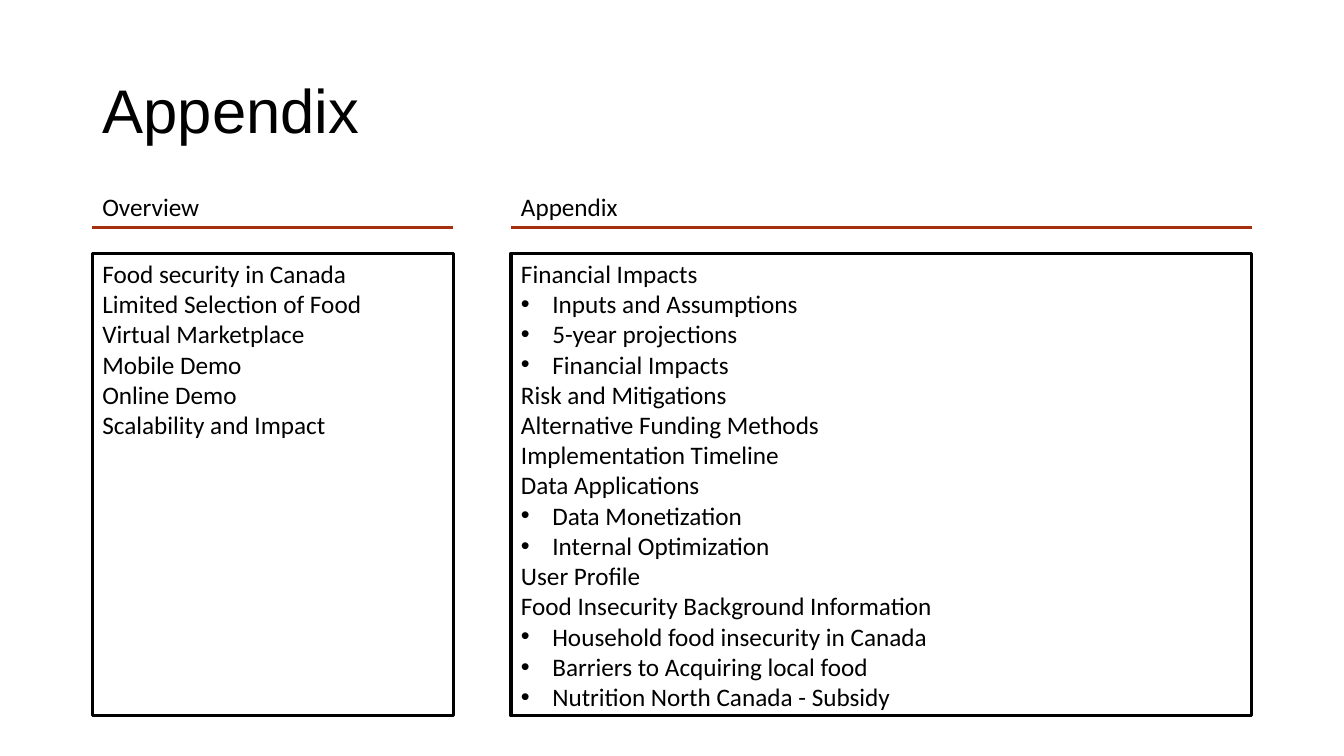
from lxml import etree
from pptx import Presentation
from pptx.dml.color import RGBColor
from pptx.enum import shapes, text
from pptx.oxml import ns
from pptx.util import Cm, Pt

TITLE = "Appendix"
BLACK, RUST = "000000", "A5300F"
COLUMNS = [
    {
        "heading": "Overview", "left": 2.33, "width": 9.09,
        "topics": [
            ("Food security in Canada", []),
            ("Limited Selection of Food", []),
            ("Virtual Marketplace", []),
            ("Mobile Demo", []),
            ("Online Demo", []),
            ("Scalability and Impact", []),
        ],
    },
    {
        "heading": "Appendix", "left": 12.88, "width": 18.67,
        "topics": [
            ("Financial Impacts", ["Inputs and Assumptions", "5-year projections", "Financial Impacts"]),
            ("Risk and Mitigations", []),
            ("Alternative Funding Methods", []),
            ("Implementation Timeline", []),
            ("Data Applications", ["Data Monetization", "Internal Optimization"]),
            ("User Profile", []),
            ("Food Insecurity Background Information", [
                "Household food insecurity in Canada",
                "Barriers to Acquiring local food",
                "Nutrition North Canada - Subsidy",
            ]),
        ],
    },
]
HEADING_TOP, HEADING_HEIGHT = 4.7, 1.02
RULE_TOP = 5.74
BOX_TOP, BOX_HEIGHT = 6.38, 11.66
BULLET_INDENT = 0.79


def color(value):
    return RGBColor.from_string(value)


def add_bullet(paragraph):
    properties = paragraph._p.get_or_add_pPr()
    properties.set("marL", str(Cm(BULLET_INDENT)))
    properties.set("indent", str(-Cm(BULLET_INDENT)))
    etree.SubElement(properties, ns.qn("a:buFont"), typeface="Arial")
    etree.SubElement(properties, ns.qn("a:buChar"), char="•")


def write(paragraph, content, size=18, font="Calibri", fill=BLACK, bullet=False, spacing=None):
    if bullet:
        add_bullet(paragraph)
    paragraph.alignment = text.PP_ALIGN.LEFT
    if spacing:
        paragraph.line_spacing = spacing
    run = paragraph.add_run()
    run.text = content
    run.font.size = Pt(size)
    run.font.name = font
    run.font.color.rgb = color(fill)


def add_title(slide):
    title = slide.shapes.title
    title.left, title.top, title.width, title.height = Cm(2.33), Cm(1.01), Cm(29.21), Cm(3.68)
    title.text_frame.vertical_anchor = text.MSO_ANCHOR.MIDDLE
    write(title.text_frame.paragraphs[0], TITLE, size=44, font="Arial", spacing=0.9)


def add_heading(slide, column):
    left, width = column["left"], column["width"]
    heading = slide.shapes.add_textbox(Cm(left), Cm(HEADING_TOP), Cm(width), Cm(HEADING_HEIGHT))
    heading.text_frame.word_wrap = True
    write(heading.text_frame.paragraphs[0], column["heading"])
    rule = slide.shapes.add_connector(
        shapes.MSO_CONNECTOR.STRAIGHT, Cm(left), Cm(RULE_TOP), Cm(left + width), Cm(RULE_TOP))
    rule.line.color.rgb = color(RUST)
    rule.line.width = Pt(2.25)
    etree.SubElement(rule._element.spPr, ns.qn("a:effectLst"))


def add_topics(slide, column):
    box = slide.shapes.add_shape(
        shapes.MSO_SHAPE.RECTANGLE,
        Cm(column["left"]), Cm(BOX_TOP), Cm(column["width"]), Cm(BOX_HEIGHT))
    box.shadow.inherit = False
    box.fill.background()
    box.line.color.rgb = color(BLACK)
    box.line.width = Pt(2.25)
    frame = box.text_frame
    frame.word_wrap = True
    frame.vertical_anchor = text.MSO_ANCHOR.TOP
    entries = []
    for topic, details in column["topics"]:
        entries.append((topic, False))
        entries.extend((detail, True) for detail in details)
    for index, (content, bullet) in enumerate(entries):
        paragraph = frame.add_paragraph() if index else frame.paragraphs[0]
        write(paragraph, content, bullet=bullet)


def main():
    presentation = Presentation()
    presentation.slide_width, presentation.slide_height = Cm(33.87), Cm(19.05)
    slide = presentation.slides.add_slide(presentation.slide_layouts[5])
    add_title(slide)
    for column in COLUMNS:
        add_heading(slide, column)
        add_topics(slide, column)
    presentation.save("out.pptx")


if __name__ == "__main__":
    main()
